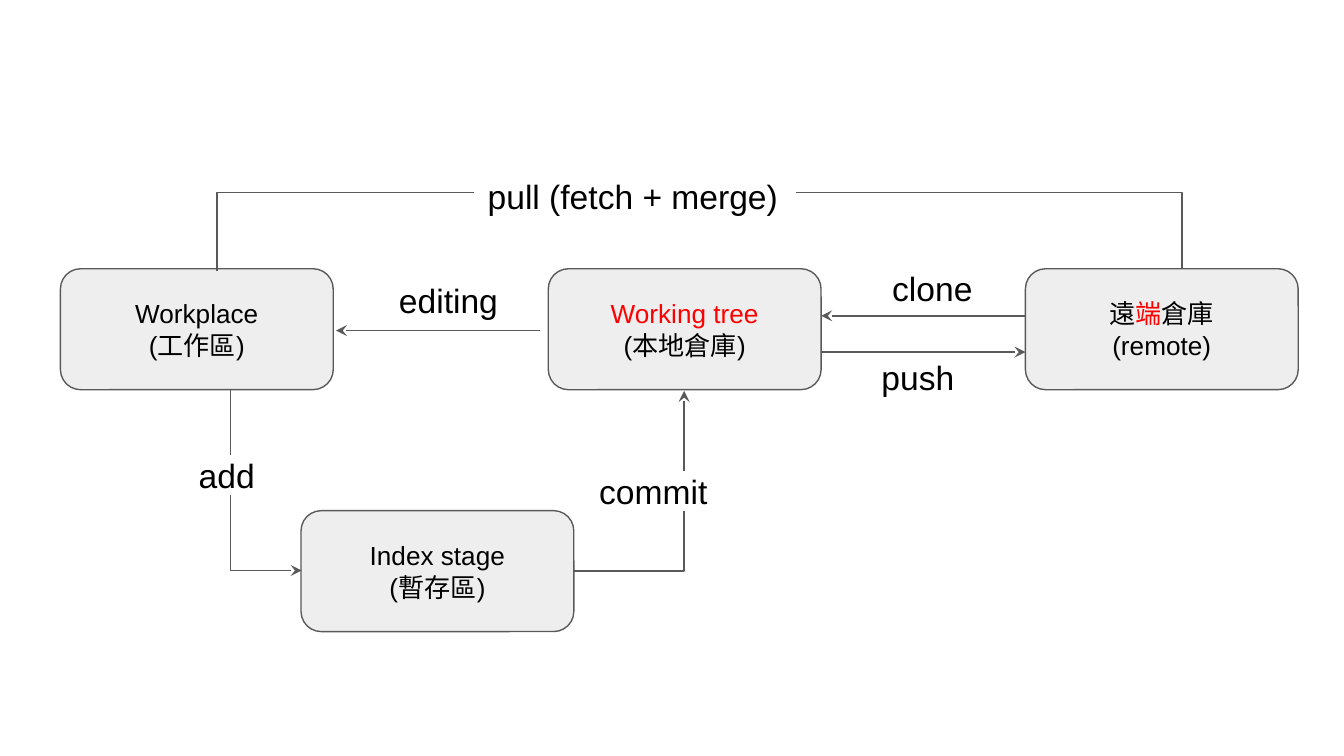
from dataclasses import dataclass

from lxml import etree
from pptx import Presentation
from pptx.dml.color import RGBColor
from pptx.enum.shapes import MSO_CONNECTOR, MSO_SHAPE
from pptx.enum.text import MSO_ANCHOR, PP_ALIGN
from pptx.oxml.ns import qn
from pptx.util import Inches, Pt

ROUND, RECT = MSO_SHAPE.ROUNDED_RECTANGLE, MSO_SHAPE.RECTANGLE
STRAIGHT, ELBOW = MSO_CONNECTOR.STRAIGHT, MSO_CONNECTOR.ELBOW
CENTER, LEFT = PP_ALIGN.CENTER, PP_ALIGN.LEFT
MIDDLE = MSO_ANCHOR.MIDDLE

CELL = 0.1  # inches per grid cell
COLS, ROWS = 100, 56.25
BOX_W, BOX_H, TAG_H = 20.3, 9, 2.9


@dataclass(frozen=True)
class Theme:
    """Colours and type sizes."""
    font: str = "Arial"
    ink: str = "000000"
    red: str = "FF0000"
    gray: str = "595959"
    pale: str = "EEEEEE"
    white: str = "FFFFFF"
    small: int = 14
    large: int = 18
    rule: float = 0.75


T = Theme()


@dataclass(frozen=True)
class Run:
    """A stretch of text in one colour."""
    text: str
    color: str = T.ink


BREAK = Run("\n")


@dataclass(frozen=True)
class Box:
    """A place where files live; each line is a paragraph."""
    col: float
    row: float
    lines: tuple


@dataclass(frozen=True)
class Tag:
    """The name of a command."""
    col: float
    row: float
    width: float
    text: str


@dataclass(frozen=True)
class Wire:
    """A line between two grid points, turned by an angle in degrees."""
    start: tuple
    end: tuple
    bend: str = ""
    turn: int = 0
    adjust: int = 0
    arrow: bool = True


BOXES = (
    Box(4.5, 20, ((Run("Workplace"),), (Run("(工作區)"),))),
    Box(40.8, 20, ((Run("Working tree", T.red), BREAK, Run("(本地倉庫)")),)),
    Box(76.3, 20, ((Run("遠"), Run("端", T.red), Run("倉庫")),
                   (Run("(remote)"),))),
    Box(22.4, 38, ((Run("Index stage"),), (Run("(暫存區)"),))),
)
WIRES = (
    Wire((26.5, 33.1), (13.1, 38.4), "bentConnector2", 270),
    Wire((42.7, 42.5), (50.9, 29.1), "bentConnector2"),
    Wire((76.3, 23.5), (61.1, 23.5)),
    Wire((52, -15.8), (52.1, 56), "bentConnector3", 90, -5800000, False),
    Wire((61.1, 26.2), (76.3, 26.2)),
    Wire((40.2, 24.6), (25, 24.6)),
)
TAGS = (
    Tag(13.8, 33.9, 11, "add"),
    Tag(43.6, 35.1, 11, "commit"),
    Tag(64.6, 26.6, 7.9, "push"),
    Tag(35.3, 13.1, 23.9, "pull (fetch + merge)"),
    Tag(65.4, 20, 8.3, "clone"),
    Tag(28.7, 20.9, 9.5, "editing"),
)


def cell(count: float) -> int:
    """Turn grid cells into a length."""
    return Inches(count * CELL)


def rgb(code: str) -> RGBColor:
    """Turn a hex code into a colour."""
    return RGBColor.from_string(code)


def panel(slide, kind, area: tuple, fill: str, edge: str):
    """Add a flat shape with a fill and an edge."""
    shape = slide.shapes.add_shape(kind, *map(cell, area))
    shape.shadow.inherit = False
    shape.fill.solid()
    shape.fill.fore_color.rgb = rgb(fill)
    shape.line.color.rgb = rgb(edge)
    shape.line.width = Pt(T.rule)
    return shape


def write(shape, lines: tuple, size: int, align) -> None:
    """Fill a shape with paragraphs, run by run."""
    frame = shape.text_frame
    frame.word_wrap = True
    frame.vertical_anchor = MIDDLE
    frame.margin_left = frame.margin_right = cell(1)
    frame.margin_top = frame.margin_bottom = cell(1)
    for index, line in enumerate(lines):
        para = frame.add_paragraph() if index else frame.paragraphs[0]
        para.alignment = align
        for part in line:
            if part is BREAK:
                para.add_line_break()
                continue
            run = para.add_run()
            run.text = part.text
            run.font.name = T.font
            run.font.size = Pt(size)
            run.font.color.rgb = rgb(part.color)


def draw_box(slide, box: Box) -> None:
    """Draw a rounded box with centred text."""
    shape = panel(slide, ROUND, (box.col, box.row, BOX_W, BOX_H),
                  T.pale, T.gray)
    write(shape, box.lines, T.small, CENTER)


def draw_tag(slide, tag: Tag) -> None:
    """Draw a command name on a white plate."""
    shape = panel(slide, RECT, (tag.col, tag.row, tag.width, TAG_H),
                  T.white, T.white)
    write(shape, ((Run(tag.text),),), T.large, LEFT)


def draw_wire(slide, wire: Wire) -> None:
    """Draw a straight or bent connector."""
    line = slide.shapes.add_connector(
        ELBOW if wire.bend else STRAIGHT,
        *map(cell, wire.start + wire.end))
    line.line.color.rgb = rgb(T.gray)
    line.line.width = Pt(T.rule)
    props = line._element.spPr
    if wire.arrow:
        etree.SubElement(props.find(qn("a:ln")), qn("a:tailEnd"),
                         type="stealth")
    etree.SubElement(props, qn("a:effectLst"))
    if wire.bend:
        shape = props.find(qn("a:prstGeom"))
        shape.set("prst", wire.bend)
        if wire.adjust:
            etree.SubElement(shape.find(qn("a:avLst")), qn("a:gd"),
                             name="adj1", fmla=f"val {wire.adjust}")
    if wire.turn:
        props.find(qn("a:xfrm")).set("rot", str(wire.turn * 60000))


def main() -> None:
    """Build the slide and save it."""
    deck = Presentation()
    deck.slide_width, deck.slide_height = cell(COLS), cell(ROWS)
    slide = deck.slides.add_slide(deck.slide_layouts[6])
    for box in BOXES:
        draw_box(slide, box)
    for wire in WIRES:
        draw_wire(slide, wire)
    for tag in TAGS:
        draw_tag(slide, tag)
    deck.save("out.pptx")


main()
